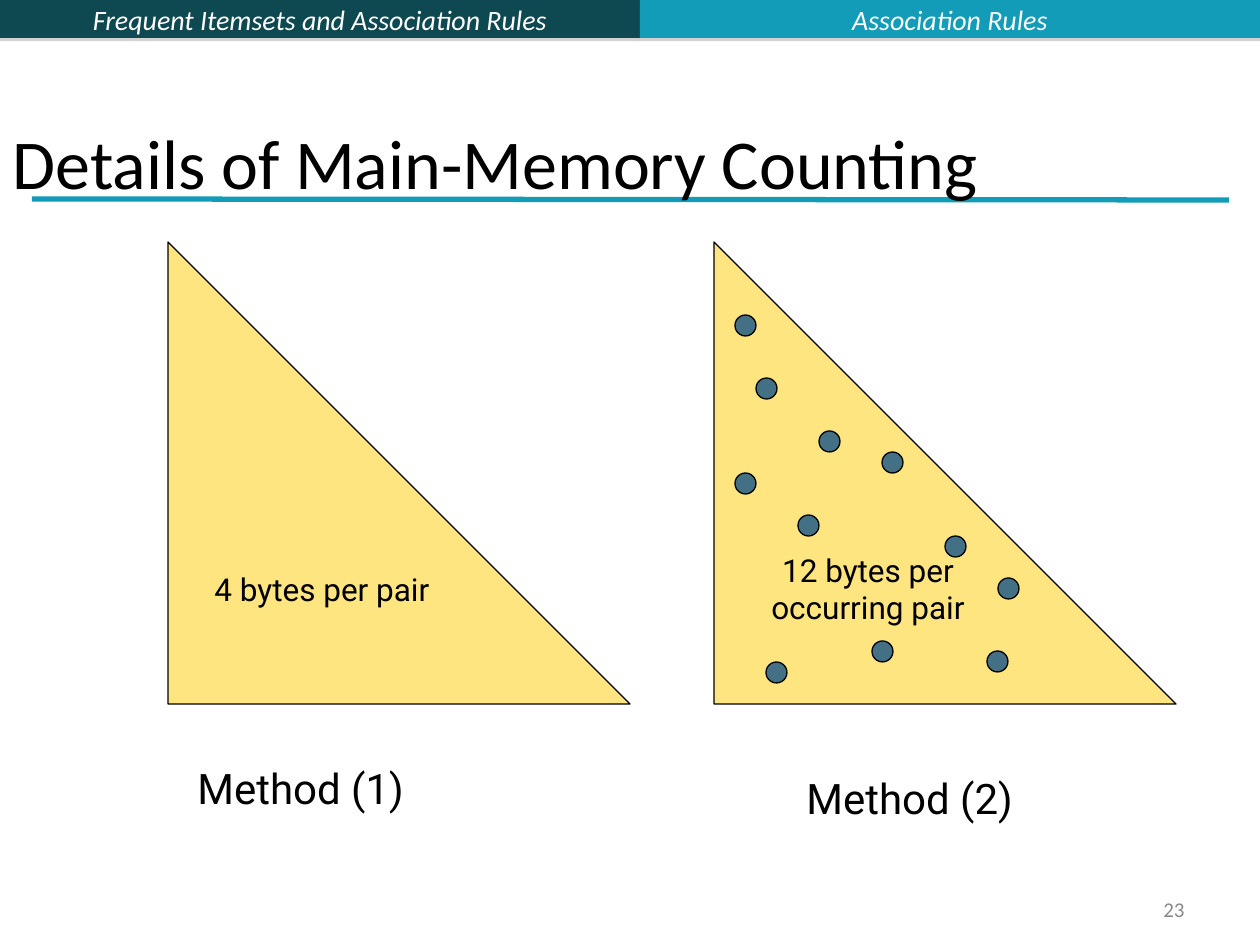
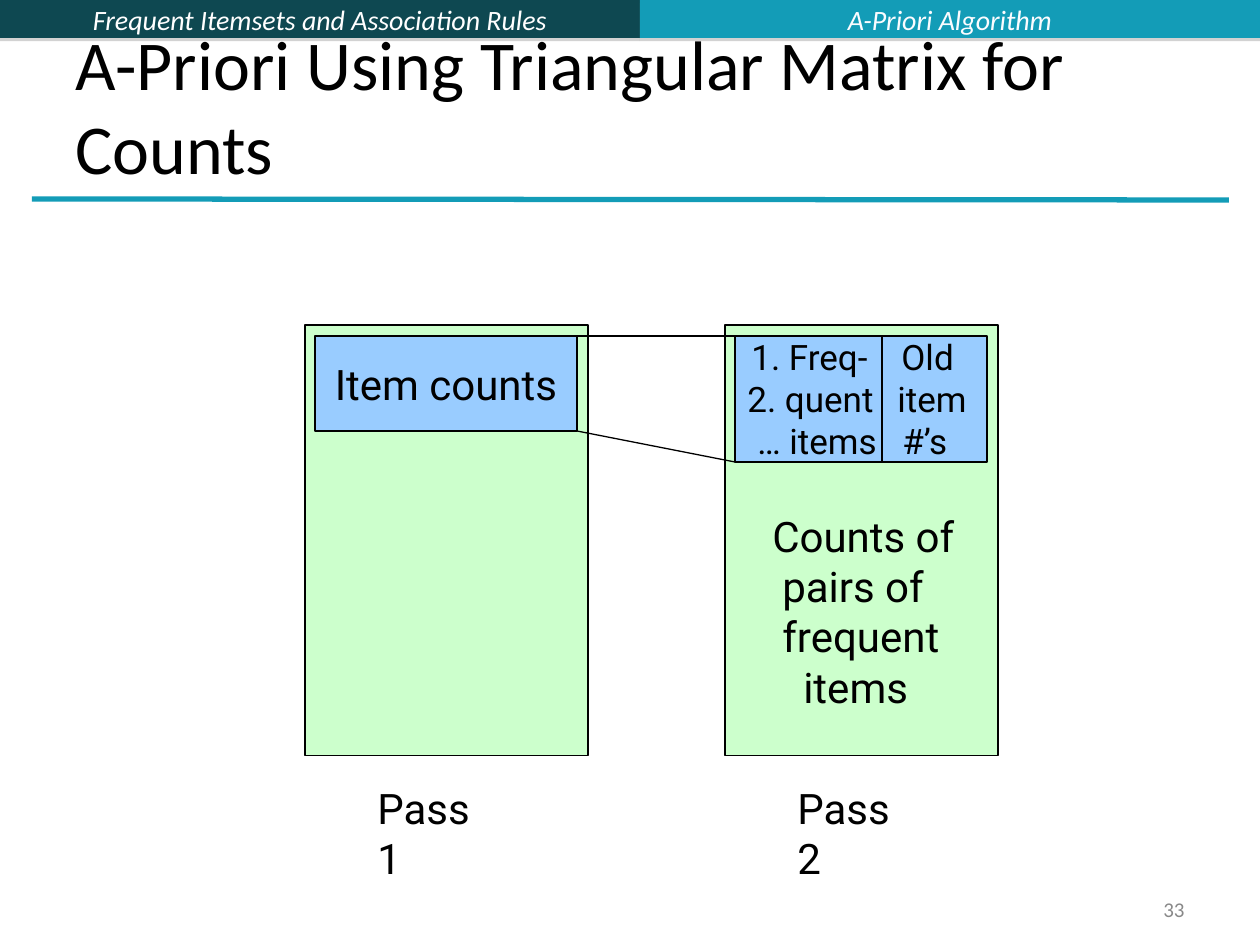
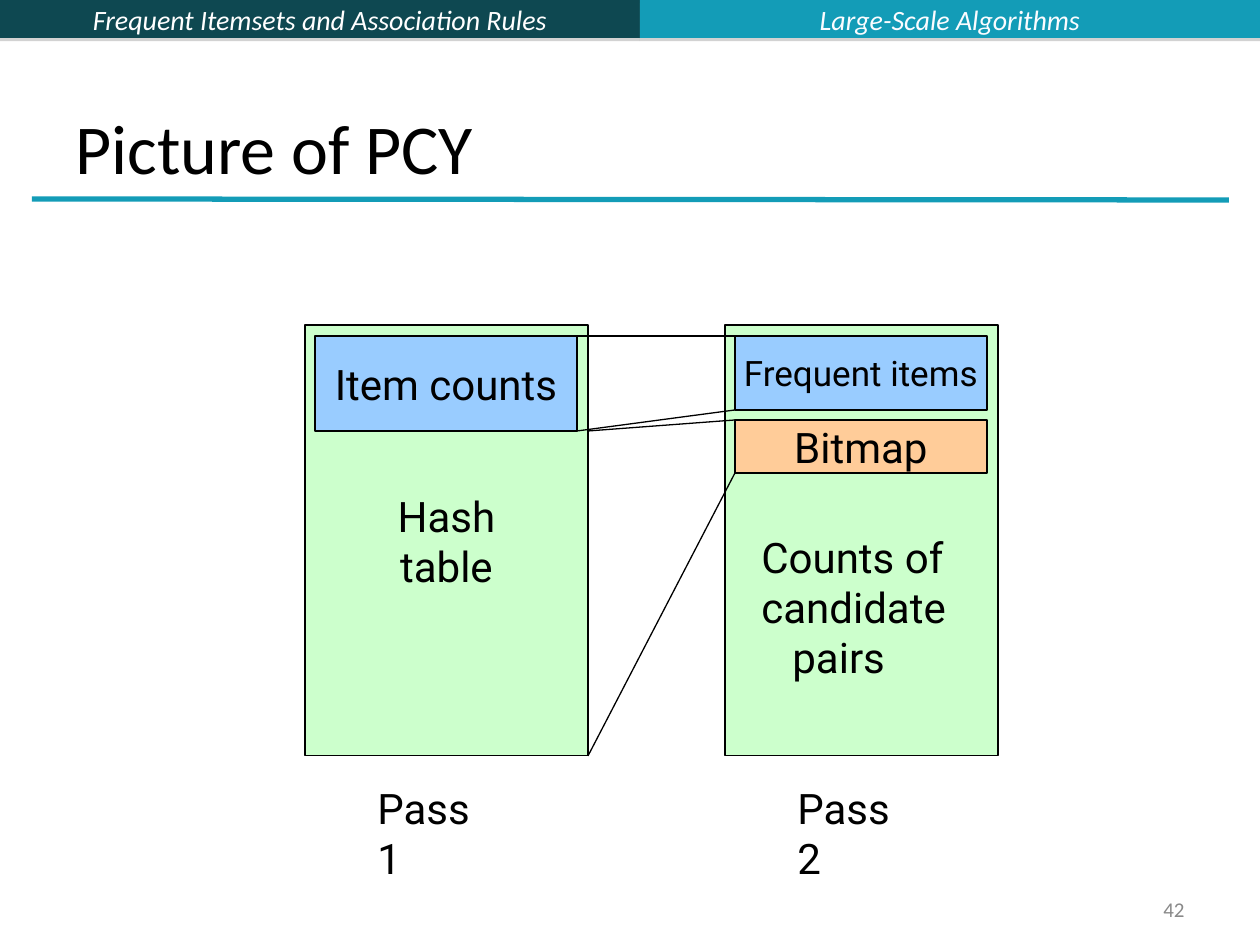
"""Build three slides on counting pairs of items in main memory."""
from lxml.etree import SubElement
from pptx import Presentation
from pptx.dml.color import RGBColor
from pptx.enum.shapes import MSO_CONNECTOR, MSO_SHAPE
from pptx.enum.text import MSO_ANCHOR, MSO_AUTO_SIZE, PP_ALIGN
from pptx.oxml.ns import qn
from pptx.util import Inches, Pt

PX = 7257
DARK, TEAL, BLACK = "0E4851", "139CB7", "000000"
GREEN, BLUE, ORANGE, YELLOW, SLATE = "CCFFCC", "99CCFF", "FFCC99", "FFCC00", "437085"
RECTANGLE = MSO_SHAPE.RECTANGLE
LEFT, CENTER, RIGHT = PP_ALIGN.LEFT, PP_ALIGN.CENTER, PP_ALIGN.RIGHT
TOP, MIDDLE, BOTTOM = MSO_ANCHOR.TOP, MSO_ANCHOR.MIDDLE, MSO_ANCHOR.BOTTOM


def draw(page, kind, left, top, width, height, fill=None, line=BLACK):
    """Add a preset shape, or a text box when kind is None; lengths in px."""
    place = [value * PX for value in (left, top, width, height)]
    if kind is None:
        return page.shapes.add_textbox(*place)
    shape = page.shapes.add_shape(kind, *place)
    shape.shadow.inherit = False
    shape.fill.solid()
    shape.fill.fore_color.rgb = RGBColor.from_string(fill)
    if line:
        shape.line.color.rgb = RGBColor.from_string(line)
        shape.line.width = Pt(0.75)
    else:
        shape.line.fill.background()
    return shape


def write(shape, text, size=24, font="Roboto", color=BLACK, italic=False,
          align=CENTER, anchor=MIDDLE, wrap=True, indents=()):
    """Fill a shape with one paragraph per line; indents are px per line."""
    frame = shape.text_frame
    frame.text = text
    frame.auto_size = MSO_AUTO_SIZE.NONE
    frame.word_wrap = wrap
    frame.vertical_anchor = anchor
    for para in frame.paragraphs:
        para.alignment = align
        for span in para.runs:
            span.font.size = Pt(size)
            span.font.name = font
            span.font.italic = italic
            span.font.color.rgb = RGBColor.from_string(color)
    for para, indent in zip(frame.paragraphs, indents):
        properties = para._p.get_or_add_pPr()
        properties.set("marL", str(indent * PX))
        properties.set("indent", "0")


deck = Presentation()
deck.slide_width, deck.slide_height = Inches(10), Inches(7.5)

headings = [
    ("Association Rules", "Details of Main-Memory Counting", (0, 53, 1260, 157), "23"),
    ("A-Priori Algorithm", "A-Priori Using Triangular Matrix for Counts", (63, 38, 1134, 157), "33"),
    ("Large-Scale Algorithms", "Picture of PCY", (63, 38, 1134, 157), "42"),
]
pages = []
lines = []
for section, heading, place, number in headings:
    page = deck.slides.add_slide(deck.slide_layouts[5])
    pages.append(page)
    for left, width, fill, text, color in (
        (0, 640, DARK, "Frequent Itemsets and Association Rules", "FFFFFF"),
        (640, 620, TEAL, section, "FBFCFF"),
    ):
        band = draw(page, RECTANGLE, left, 0, width, 38, fill, line=None)
        write(band, text, size=16, font="Calibri", color=color, italic=True)
        effects = band._element.spPr.find(qn("a:effectLst"))
        shadow = SubElement(effects, qn("a:outerShdw"), blurRad="0",
                            dist=str(Pt(1.8)), dir="5400000", rotWithShape="0")
        tint = SubElement(shadow, qn("a:srgbClr"), val="808080")
        SubElement(tint, qn("a:alpha"), val="35000")
    title = page.shapes.title
    title.left, title.top, title.width, title.height = [value * PX for value in place]
    write(title, heading, size=40, font="Calibri", align=LEFT, anchor=BOTTOM)
    footer = draw(page, None, 903, 892, 294, 34)
    write(footer, number, size=12, font="Calibri", color="898989", align=RIGHT)
    lines.append((page, 32, 199, 1229, 200, TEAL, 3))

memory, apriori, pcy = pages

for left, text in ((168, "4 bytes per pair"), (714, "12 bytes per\noccurring pair")):
    triangle = draw(memory, MSO_SHAPE.RIGHT_TRIANGLE, left, 242, 462, 462, YELLOW)
    tint = triangle._element.spPr.find(qn("a:solidFill"))[0]
    SubElement(tint, qn("a:alpha"), val="50000")
    write(triangle, text, size=18, wrap=False)
for left, top, text in ((185, 756, "Method (1)"), (794, 766, "Method (2)")):
    write(draw(memory, None, left, top, 240, 63), text, align=LEFT, anchor=TOP)
for left, top in ((998, 578), (872, 641), (882, 452), (756, 378), (945, 536), (987, 651),
                  (766, 662), (798, 515), (819, 431), (735, 315), (735, 473)):
    draw(memory, MSO_SHAPE.OVAL, left, top, 21, 21, SLATE)

for page, first_text in ((apriori, ""), (pcy, "Hash\ntable")):
    first_pass = draw(page, RECTANGLE, 305, 325, 283, 431, GREEN)
    if first_text:
        write(first_pass, first_text)
    draw(page, RECTANGLE, 725, 325, 273, 431, GREEN)
    write(draw(page, RECTANGLE, 315, 336, 262, 95, BLUE), "Item counts")
    for left, text in ((365, "Pass 1"), (785, "Pass 2")):
        write(draw(page, None, left, 776, 148, 63), text, align=LEFT, anchor=TOP)
    lines.append((page, 577, 336, 735, 336, BLACK, 0.75))

frequent = draw(apriori, RECTANGLE, 735, 336, 252, 126, BLUE)
write(frequent, "1. Freq-\n2. quent\n… items", size=20, align=LEFT, indents=(4, 0, 10))
old_numbers = draw(apriori, None, 882, 336, 105, 126)
write(old_numbers, "Old\nitem\n#’s", size=20, align=LEFT, indents=(7, 3, 8))
pair_counts = draw(apriori, None, 760, 504, 215, 214)
write(pair_counts, "Counts of\npairs of\nfrequent\nitems", align=LEFT, anchor=TOP,
      indents=(0, 10, 10, 31))

write(draw(pcy, RECTANGLE, 735, 420, 252, 53, ORANGE), "Bitmap")
write(draw(pcy, RECTANGLE, 735, 336, 252, 74, BLUE), "Frequent items", size=20, wrap=False)
candidate_counts = draw(pcy, None, 749, 525, 219, 164)
write(candidate_counts, "Counts of\ncandidate\npairs", align=LEFT, anchor=TOP,
      indents=(0, 0, 31))

for page, *ends in (
    (apriori, 577, 431, 735, 462),
    (apriori, 882, 336, 882, 462),
    (pcy, 577, 431, 735, 410),
    (pcy, 588, 756, 735, 473),
    (pcy, 588, 431, 735, 420),
):
    lines.append((page, *ends, BLACK, 0.75))
for page, *ends, color, weight in lines:
    connector = page.shapes.add_connector(MSO_CONNECTOR.STRAIGHT, *[end * PX for end in ends])
    connector.line.color.rgb = RGBColor.from_string(color)
    connector.line.width = Pt(weight)
    SubElement(connector._element.spPr, qn("a:effectLst"))
for page in pages:
    title = page.shapes.title.element
    title.getparent().append(title)

deck.save("out.pptx")
